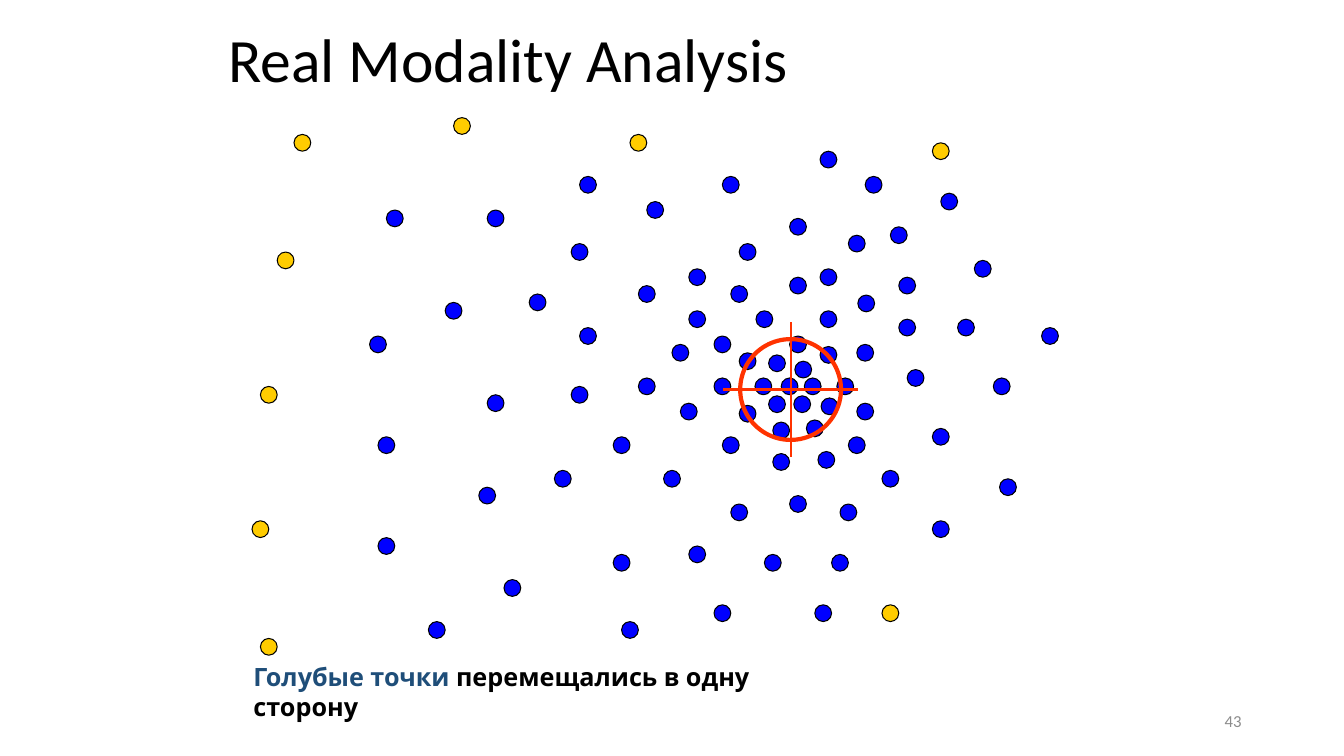
from dataclasses import dataclass

from lxml.etree import SubElement
from pptx import Presentation
from pptx.dml.color import RGBColor as RGB
from pptx.enum.shapes import MSO_CONNECTOR as Conn, MSO_SHAPE as Kind
from pptx.enum.text import MSO_ANCHOR as Anchor, PP_ALIGN as Align
from pptx.oxml.ns import qn
from pptx.util import Pt

PX = 9525  # EMU in one px, 96 px to the inch


@dataclass(frozen=True)
class Theme:
    black: str = "000000"
    blue: str = "0000FF"
    gold: str = "FFCC00"
    red: str = "FF3300"
    navy: str = "1F4E79"
    grey: str = "8C8C8C"
    sans: str = "Calibri"
    bold: str = "Karla"
    title: int = 44
    note: int = 18
    page: int = 12


T = Theme()
DOT = 16

# Dot corners inside the field, row by row: top -> lefts
BLUE = {
    32: [541], 56: [312, 448, 584], 72: [656], 80: [376], 88: [128, 224],
    96: [512], 104: [608], 112: [568], 120: [304, 464], 136: [688],
    144: [416, 541], 152: [512, 616], 160: [368, 456], 168: [264],
    169: [577], 176: [184], 184: [416, 480, 541], 192: [616, 672],
    200: [312, 752], 208: [112, 440, 512], 216: [400, 576], 218: [541],
    224: [464], 226: [492], 232: [517], 240: [624],
    248: [368, 440, 479, 504, 526, 557, 706], 256: [304], 264: [224],
    265: [492, 516], 267: [542], 272: [408, 576], 274: [464], 288: [528],
    290: [496], 296: [648], 304: [120, 344, 448, 568], 318: [539],
    320: [496], 336: [288, 392, 600], 344: [712], 352: [216], 360: [512],
    368: [456, 560], 384: [648], 400: [120], 408: [416],
    416: [344, 488, 552], 440: [240], 464: [440, 536], 480: [168, 352],
}
GOLD = {
    0: [192], 16: [40, 360], 24: [648], 128: [24], 256: [8], 384: [0],
    464: [600], 496: [8],
}


def px(*nums):
    return [n * PX for n in nums]


def disc(slide, x, y, size, fill, edge, width):
    shape = slide.shapes.add_shape(Kind.OVAL, *px(x, y, size, size))
    shape.shadow.inherit = False
    if fill:
        shape.fill.solid()
        shape.fill.fore_color.rgb = RGB.from_string(fill)
    else:
        shape.fill.background()
    shape.line.color.rgb = RGB.from_string(edge)
    shape.line.width = Pt(width)


def hair(slide, *ends):
    line = slide.shapes.add_connector(Conn.STRAIGHT, *px(*ends))
    line.line.color.rgb = RGB.from_string(T.red)
    line.line.width = Pt(1.5)
    SubElement(line._element.spPr, qn("a:effectLst"))


def label(slide, box, runs, face, size, bold=False,
          anchor=Anchor.MIDDLE, align=Align.LEFT, pitch=1.0):
    """Place one paragraph; runs are pairs of text and colour."""
    frame = slide.shapes.add_textbox(*px(*box)).text_frame
    frame.word_wrap = True
    frame.vertical_anchor = anchor
    para = frame.paragraphs[0]
    para.alignment = align
    para.line_spacing = pitch
    for text, tint in runs:
        run = para.add_run()
        run.text = text
        run.font.name = face
        run.font.size = Pt(size)
        run.font.bold = bold
        run.font.color.rgb = RGB.from_string(tint)


def field(slide, left, top):
    """Scatter of dots with the target over its dense part."""
    for rows, tint in ((BLUE, T.blue), (GOLD, T.gold)):
        for y, row in rows.items():
            for x in row:
                disc(slide, left + x, top + y, DOT, tint, T.black, 0.75)
    aim(slide, left + 449, top + 195, 128)


def aim(slide, left, top, size):
    """Ring and cross hairs."""
    half, inset = size // 2, size // 8
    disc(slide, left + inset, top + inset, size - 2 * inset, None, T.red, 3)
    hair(slide, left + half, top, left + half, top + size)
    hair(slide, left, top + half, left + size, top + half)


def main():
    deck = Presentation()
    deck.slide_width, deck.slide_height = px(1280, 720)
    slide = deck.slides.add_slide(deck.slide_layouts[6])

    field(slide, 240, 112)

    # Caption
    label(slide, (232, 625, 562, 38),
          [("Голубые точки ", T.navy),
           ("перемещались в одну сторону", T.black)],
          T.bold, T.note, bold=True, anchor=Anchor.TOP)

    # Title
    label(slide, (208, 0, 864, 120), [("Real Modality Analysis", T.black)],
          T.sans, T.title, pitch=0.9)

    # Page number
    label(slide, (904, 667, 288, 38), [("43", T.grey)],
          T.sans, T.page, align=Align.RIGHT)

    deck.save("out.pptx")


if __name__ == "__main__":
    main()
